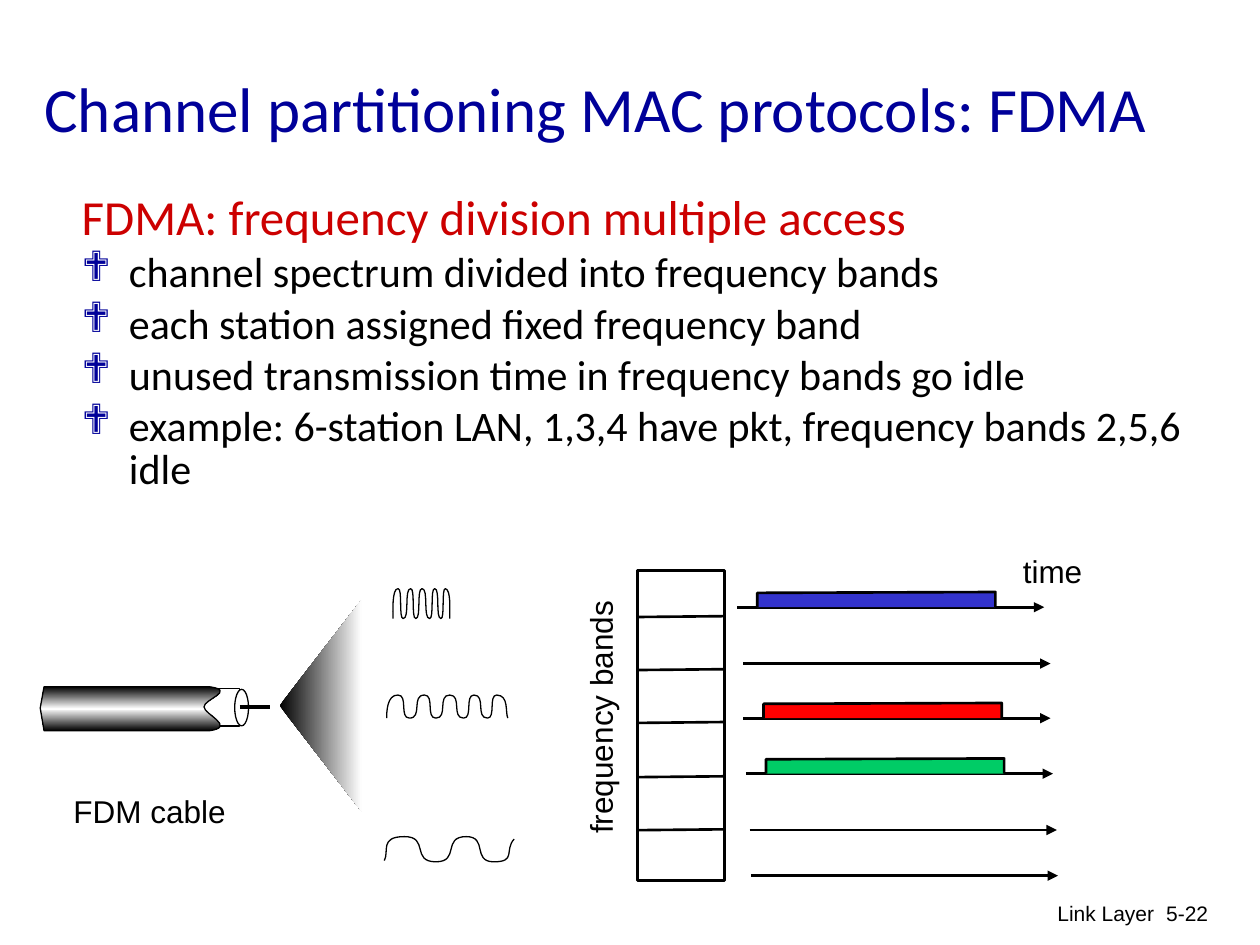
from copy import deepcopy
from dataclasses import dataclass

from lxml.etree import SubElement
from pptx import Presentation
from pptx.dml.color import RGBColor as RGB
from pptx.enum.shapes import MSO_CONNECTOR as Connector, MSO_SHAPE as Shape
from pptx.enum.text import MSO_ANCHOR as Anchor, PP_ALIGN as Align
from pptx.oxml.ns import qn
from pptx.util import Pt


@dataclass(frozen=True)
class Theme:
    navy: str = "000099"
    crimson: str = "CC0000"
    black: str = "000000"
    white: str = "FFFFFF"
    heading_font: str = "Calibri"
    label_font: str = "Arial"
    bullet_font: str = "Wingdings"
    title: float = 36
    lead: float = 28
    bullet: float = 24
    label: float = 18
    footer: float = 12
    thin: float = 0.75
    line: float = 1.5
    core: float = 2.25


THEME = Theme()
TITLE = "Channel partitioning MAC protocols: FDMA"
LEAD = "FDMA: frequency division multiple access"
BULLETS = [
    "channel spectrum divided into frequency bands",
    "each station assigned fixed frequency band",
    "unused transmission time in frequency bands go idle",
    "example: 6-station LAN, 1,3,4 have pkt, frequency bands 2,5,6 idle",
]
# text, (left, top, width, height), rotation
LABELS = [
    ("frequency bands", (269.3, 395.3, 147.6, 28.8), 270),
    ("time", (577.4, 311.8, 48.2, 28.8), 0),
    ("FDM cable", (34.9, 448.9, 101.5, 28.8), 0),
]
FOOTERS = [
    ("Link Layer", (438.5, 510.8, 228.2, 36)),
    ("5-22", (644.2, 510.8, 53.3, 36)),
]
# left, baseline, packet colour
LANES = [
    (421.2, 347, "3333CC"),
    (424.8, 379.2, None),
    (424.8, 410.4, "FF0000"),
    (426.2, 442.1, "00CC66"),
    (428.4, 474.3, None),
    (429.1, 500.4, None),
]
LANE_LENGTH, PACKET_OFFSET, PACKET_WIDTH, PACKET_HEIGHT = 175.5, 11.5, 136.1, 8.2
SPECTRUM = (364.3, 326, 49.6, 177.1)
DIVIDERS = [352.6, 382.9, 413.1, 444.1, 474.4]
SLANT = 0.5
# start, opening controls, crest and trough xs, (top, bottom), reach, closing curve
WAVES = [
    ((224.6, 353.5), [(224.6, 349.9), (223.9, 336.2)],
     [227.5, 230.4, 234.7, 237.6, 241.2, 245.5, 248.4, 252, 254.5],
     (336.4, 353.5), 0.9, [(257.8, 337), (257, 348.5), (257, 353.5)]),
    ((221, 410.4), [(221, 407.5), (221, 396.9)],
     [227.5, 234, 242.6, 249.1, 257, 265, 270.9, 278.6, 283.9],
     (397.2, 410.4), 0.9, [(290.9, 397.4), (288.7, 406.8), (290.2, 410.4)]),
    ((219.6, 491.8), [(222.5, 486.7), (216.7, 478.1)],
     [231.1, 249.1, 266.4, 282.2],
     (478.1, 492.5), 0.8, [(295.2, 492.5), (288, 486), (293.8, 479.5)]),
]
FAN = [(206.6, 342.7), (159.8, 403.2), (206.6, 463.7)]
CABLE = [(25.2, 392.4), (23, 404.6), (25.2, 417.6), (119.5, 417.6)]
CABLE_END = [
    (135.4, 415.4), (116.6, 408.2), (116.6, 403.9),
    (116.6, 399.6), (135.4, 394.6), (119.5, 392.4),
]


def add_text(box_rect, lines, size, color, font, align=Align.LEFT, wrap=True):
    box = slide.shapes.add_textbox(*map(Pt, box_rect))
    frame = box.text_frame
    frame.word_wrap = wrap
    frame.text = "\n".join(lines)
    for para in frame.paragraphs:
        para.alignment = align
        for span in para.runs:
            style_span(span, size, color, font)
    return box


def style_span(span, size, color, font):
    span.font.size = Pt(size)
    span.font.name = font
    span.font.color.rgb = RGB.from_string(color)


def add_bullet(para):
    props = para._p.get_or_add_pPr()
    tint = SubElement(props, qn("a:buClr"))
    SubElement(tint, qn("a:srgbClr"), val=THEME.navy)
    SubElement(props, qn("a:buFont"), typeface=THEME.bullet_font)
    SubElement(props, qn("a:buChar"), char="❖")


def paint(shape, fill=None, width=THEME.line):
    """Set a plain fill and a black outline; None leaves either one out."""
    shape.shadow.inherit = False
    if fill:
        shape.fill.solid()
        shape.fill.fore_color.rgb = RGB.from_string(fill)
    else:
        shape.fill.background()
    if width:
        shape.line.color.rgb = RGB.from_string(THEME.black)
        shape.line.width = Pt(width)
    else:
        shape.line.fill.background()


def paint_gradient(shape, colors, angle):
    """Spread the colours evenly along the angle."""
    shape.fill.gradient()
    shape.fill.gradient_angle = angle
    stop_list = shape._element.spPr.find(qn("a:gradFill")).find(qn("a:gsLst"))
    while len(stop_list) < len(colors):
        stop_list.append(deepcopy(stop_list[0]))
    for index, (stop, color) in enumerate(zip(shape.fill.gradient_stops, colors)):
        stop.position = index / (len(colors) - 1)
        stop.color.rgb = RGB.from_string(color)


def add_preset(kind, rect, width):
    paint(slide.shapes.add_shape(kind, *map(Pt, rect)), THEME.white, width)


def add_outline(corners, curve_points=(), close=False):
    """Join the corners by lines, then turn each three curve points into a cubic curve."""
    units = [(x * 100, y * 100) for x, y in (*corners, *curve_points)]
    builder = slide.shapes.build_freeform(*units[0], scale=Pt(0.01))
    builder.add_line_segments(units[1:], close=close)
    shape = builder.convert_to_shape()
    segments = list(shape._element.iter(qn("a:lnTo")))
    first = len(corners) - 1
    for index in range(first, first + len(curve_points), 3):
        curve = segments[index]
        bezier = SubElement(curve.getparent(), qn("a:cubicBezTo"))
        curve.addprevious(bezier)
        for segment in segments[index:index + 3]:
            bezier.append(segment[0])
            segment.getparent().remove(segment)
    return shape


def add_line(start, end, width=THEME.line, arrow=False):
    line = slide.shapes.add_connector(Connector.STRAIGHT, *map(Pt, (*start, *end)))
    line.line.color.rgb = RGB.from_string(THEME.black)
    line.line.width = Pt(width)
    if arrow:
        SubElement(line.line._get_or_add_ln(), qn("a:tailEnd"), type="triangle")
    SubElement(line._element.spPr, qn("a:effectLst"))


def add_wave(start, opening, xs, levels, reach, closing):
    """Reach is how far each control point goes toward the next extreme."""
    points = [*opening, (xs[0], levels[0])]
    for index, (x, following) in enumerate(zip(xs, xs[1:])):
        here, there = levels[index % 2], levels[(index + 1) % 2]
        pull = reach * (following - x)
        points += [(x + pull, here), (following - pull, there), (following, there)]
    paint(add_outline([start], points + closing), width=THEME.thin)


deck = Presentation()
deck.slide_width, deck.slide_height = Pt(720), Pt(540)
slide = deck.slides.add_slide(deck.slide_layouts[6])

for text, rect in FOOTERS:
    add_text(rect, [text], THEME.footer, THEME.black, THEME.label_font, Align.RIGHT)

body = add_text((39.6, 108, 647.3, 365.8), [LEAD, *BULLETS], THEME.bullet,
                THEME.black, THEME.heading_font)
for number, para in enumerate(body.text_frame.paragraphs):
    para.line_spacing = 0.85
    props = para._p.get_or_add_pPr()
    props.set("marL", str(Pt(27)))
    props.set("indent", str(Pt(-27)))
    if number:
        para.space_before = Pt(4.8)
        add_bullet(para)
    else:
        style_span(para.runs[0], THEME.lead, THEME.crimson, THEME.heading_font)

add_preset(Shape.RECTANGLE, SPECTRUM, THEME.line)
for y in DIVIDERS:
    add_line((SPECTRUM[0], y), (SPECTRUM[0] + SPECTRUM[2], y - SLANT))

for left, base, color in LANES:
    add_line((left, base), (left + LANE_LENGTH, base), arrow=True)
    if color:
        near = left + PACKET_OFFSET
        far, top = near + PACKET_WIDTH, base - PACKET_HEIGHT
        paint(add_outline([(near, base), (near, top), (far, top - SLANT), (far, base)]),
              color)

fan = add_outline(FAN, close=True)
paint(fan, width=None)
paint_gradient(fan, [THEME.black, THEME.white], 0)

add_preset(Shape.RECTANGLE, (115.9, 393.3, 20.9, 21.6), THEME.thin)
cable = add_outline(CABLE, CABLE_END, close=True)
paint(cable, width=THEME.thin)
paint_gradient(cable, [THEME.black, THEME.white, THEME.black], 90)
add_preset(Shape.OVAL, (134.1, 393.9, 7.9, 20.9), THEME.thin)
add_line((137, 403.9), (154.1, 403.9), THEME.core)

for wave in WAVES:
    add_wave(*wave)

for text, rect, rotation in LABELS:
    label = add_text(rect, [text], THEME.label, THEME.black, THEME.label_font, wrap=False)
    label.rotation = rotation

title = add_text((18.3, 16.3, 679.7, 90), [TITLE], THEME.title, THEME.navy,
                 THEME.heading_font)
title.text_frame.vertical_anchor = Anchor.MIDDLE

deck.save("out.pptx")
